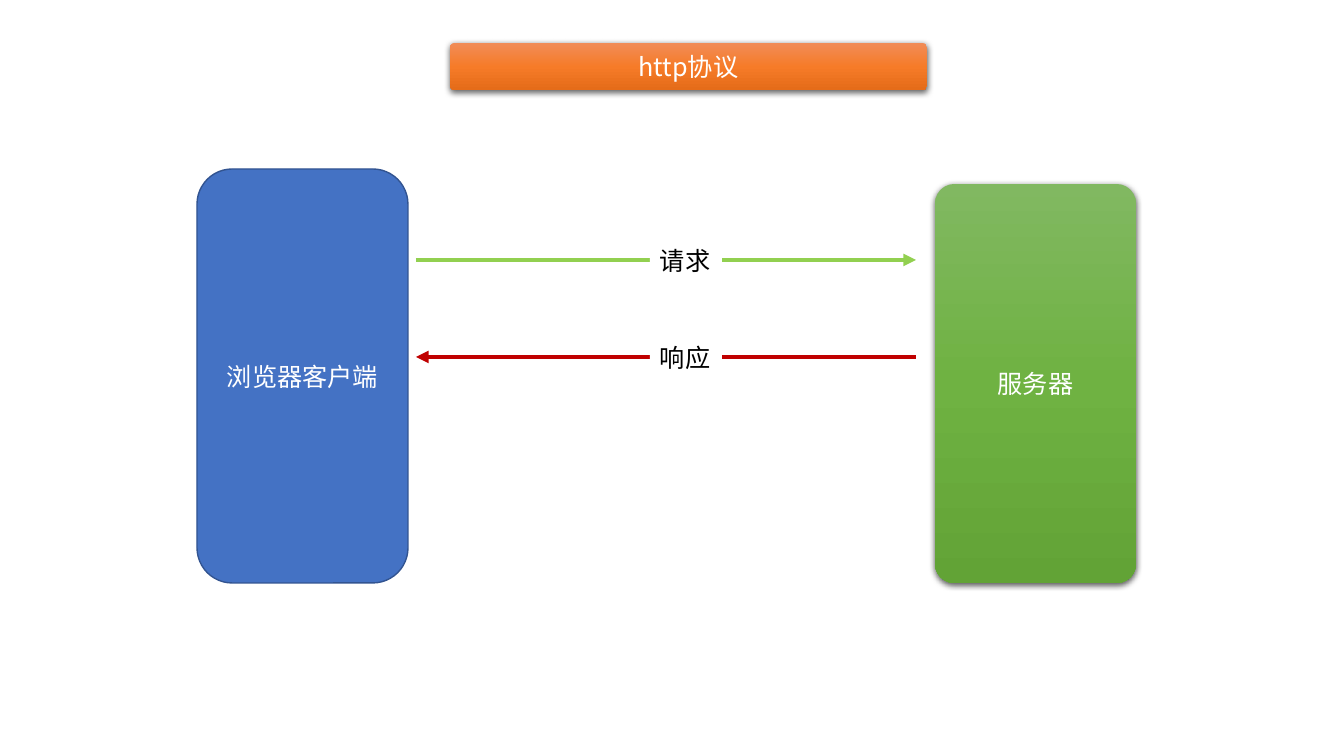
from lxml import etree
from pptx import Presentation
from pptx import util as u
from pptx.dml.color import RGBColor
from pptx.enum import shapes, text
from pptx.oxml import parse_xml
from pptx.oxml.ns import nsdecls, qn

EMU_PER_PX = 914400 / 100.8
FONT = "Noto Sans CJK SC"
COLOURS = {
    "white": "FFFFFF", "black": "000000",
    "client": "4472C4", "client_edge": "325491",
    "request": "92D050", "response": "C00000",
}
GRADIENTS = {
    "green": ("81B861", "6FB242", "62A336"),
    "orange": ("F18C57", "F67B28", "E56C19"),
}


def px(length):
    return u.Emu(round(length * EMU_PER_PX))


def rgb(name):
    return RGBColor.from_string(COLOURS[name])


def set_all(target, values):
    for name, value in values.items():
        setattr(target, name, value)


class Diagram:
    def __init__(self, slide):
        self.items = slide.shapes
        self.font = {"name": FONT, "size": u.Pt(18)}

    def add_words(self, box, words, colour, frame_format, align=None):
        frame = box.text_frame
        set_all(frame, frame_format)
        para = frame.paragraphs[0]
        para.alignment = align
        span = para.add_run()
        span.text = words
        set_all(span.font, self.font)
        span.font.color.rgb = rgb(colour)
        properties = span.font._element
        etree.SubElement(properties, qn("a:ea"), typeface=FONT)

    def block(self, words, place, corner=None):
        """Add a rounded box with centred white text."""
        box = self.items.add_shape(
            shapes.MSO_SHAPE.ROUNDED_RECTANGLE, *map(px, place))
        box.shadow.inherit = False
        if corner is not None:
            box.adjustments[0] = corner
        self.add_words(box, words, "white",
                       {"word_wrap": True,
                        "vertical_anchor": text.MSO_ANCHOR.MIDDLE},
                       text.PP_ALIGN.CENTER)
        return box

    def flat_block(self, words, place, fill, edge):
        box = self.block(words, place)
        box.fill.solid()
        box.fill.fore_color.rgb = rgb(fill)
        box.line.color.rgb = rgb(edge)
        box.line.width = u.Pt(1)

    def raised_block(self, words, place, gradient):
        """Add a box with a vertical gradient and a soft shadow."""
        box = self.block(words, place, 0.096)
        box.line.fill.background()
        box.fill.gradient()
        box.fill.gradient_angle = 270
        properties = box.element.spPr
        stops = properties.find(".//" + qn("a:gsLst"))
        for stop in list(stops):
            stops.remove(stop)
        for index, colour in enumerate(GRADIENTS[gradient]):
            stop = etree.SubElement(stops, qn("a:gs"), pos=str(index * 50000))
            etree.SubElement(stop, qn("a:srgbClr"), val=colour)
        properties.find(qn("a:effectLst")).append(parse_xml(
            f'<a:outerShdw {nsdecls("a")} blurRad="{u.Pt(4.5)}" '
            f'dist="{u.Pt(1.5)}" dir="5400000" algn="ctr" rotWithShape="0">'
            f'<a:srgbClr val="{COLOURS["black"]}"><a:alpha val="63000"/>'
            '</a:srgbClr></a:outerShdw>'))

    def arrow(self, start, end, y, colour):
        line = self.items.add_connector(
            shapes.MSO_CONNECTOR.STRAIGHT, px(start), px(y), px(end), px(y))
        line.line.color.rgb = rgb(colour)
        line.line.width = u.Pt(3)
        properties = line.element.spPr
        etree.SubElement(properties.find(qn("a:ln")), qn("a:tailEnd"),
                         type="triangle")
        etree.SubElement(properties, qn("a:effectLst"))

    def label(self, words, place):
        box = self.items.add_textbox(*map(px, place))
        box.fill.solid()
        box.fill.fore_color.rgb = rgb("white")
        self.add_words(box, words, "black",
                       {"word_wrap": False,
                        "auto_size": text.MSO_AUTO_SIZE.SHAPE_TO_FIT_TEXT})


def main():
    deck = Presentation()
    set_all(deck, {"slide_width": px(1344), "slide_height": px(756)})
    diagram = Diagram(deck.slides.add_slide(deck.slide_layouts[6]))

    diagram.flat_block("浏览器客户端", (197, 169, 211, 414),
                       "client", "client_edge")
    diagram.raised_block("服务器", (935, 184, 201, 399), "green")
    left, right = 416, 916
    messages = (("请求", left, right, 260, "request"),
                ("响应", right, left, 357, "response"))
    for _, start, end, y, colour in messages:
        diagram.arrow(start, end, y, colour)
    diagram.raised_block("http协议", (450, 43, 477, 47), "orange")
    for words, _, _, y, _ in messages:
        diagram.label(words, (650, y - 20, 72, 40))

    deck.save("out.pptx")


if __name__ == "__main__":
    main()
